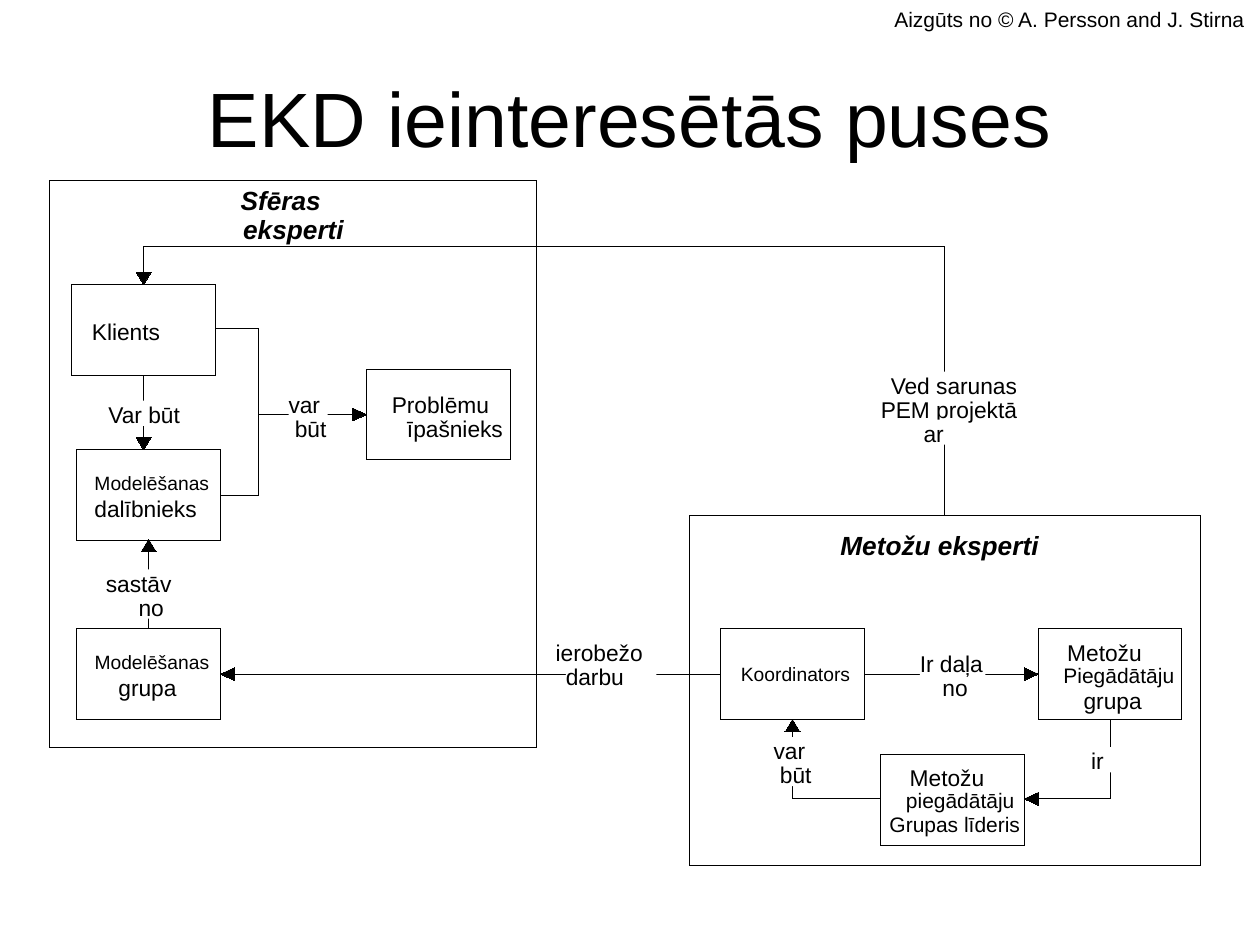
from lxml import etree
from pptx import Presentation
from pptx.dml.color import RGBColor
from pptx.enum.shapes import MSO_CONNECTOR, MSO_SHAPE
from pptx.enum.text import MSO_ANCHOR, MSO_AUTO_SIZE, PP_ALIGN
from pptx.oxml.ns import qn
from pptx.util import Inches, Pt

RECTANGLE = MSO_SHAPE.RECTANGLE
STRAIGHT = MSO_CONNECTOR.STRAIGHT
MIDDLE = MSO_ANCHOR.MIDDLE
FIT_SHAPE = MSO_AUTO_SIZE.SHAPE_TO_FIT_TEXT
LEFT, CENTER = PP_ALIGN.LEFT, PP_ALIGN.CENTER
BLACK, WHITE = "000000", "FFFFFF"
FONT = "Arial"
HAIRLINE = Pt(0.01)  # a width of zero would fall back to the theme's line
TOP_SIDE, LEFT_SIDE, BOTTOM_SIDE, RIGHT_SIDE = range(4)
BOX_W, BOX_H = 1.14, 0.72
SLACK = 0.03  # spare width that keeps each text on one line

prs = Presentation()
prs.slide_width, prs.slide_height = Inches(10), Inches(7.5)
slide = prs.slides.add_slide(prs.slide_layouts[5])
shapes = slide.shapes


def paint(fill, color):
    """Colour the fill of a shape, line or font; None leaves it empty."""
    if color is None:
        fill.background()
    else:
        fill.solid()
        fill.fore_color.rgb = RGBColor.from_string(color)


def write(text, left, top, width, size, heading=False, margins=(0, 0)):
    """Add one unwrapped line of text."""
    height = size / 60 + 2 * margins[1]
    box = shapes.add_textbox(
        Inches(left), Inches(top), Inches(width + SLACK), Inches(height))
    frame = box.text_frame
    frame.word_wrap = False
    frame.auto_size = FIT_SHAPE
    frame.margin_left = frame.margin_right = Inches(margins[0])
    frame.margin_top = frame.margin_bottom = Inches(margins[1])
    frame.paragraphs[0].alignment = LEFT
    run = frame.paragraphs[0].add_run()
    run.text = text
    run.font.name, run.font.size = FONT, Pt(size)
    run.font.bold = run.font.italic = heading
    paint(run.font.fill, BLACK)


# Title
title = shapes.title
title.left, title.top = Inches(0.5), Inches(0.3)
title.width, title.height = Inches(9), Inches(1.25)
title.text_frame.vertical_anchor = MIDDLE
title_line = title.text_frame.paragraphs[0]
title_line.alignment = CENTER
title_run = title_line.add_run()
title_run.text = "EKD ieinteresētās puses"
title_run.font.name, title_run.font.size = FONT, Pt(44)
paint(title_run.font.fill, BLACK)

# Expert groups and the roles inside them
rectangles = {
    "domain experts": (0.39, 1.43, 3.87, 4.5),
    "method experts": (5.47, 4.09, 4.06, 2.78),
    "client": (0.57, 2.26, BOX_W, BOX_H),
    "participant": (0.61, 3.57, BOX_W, BOX_H),
    "modelling group": (0.61, 4.99, BOX_W, BOX_H),
    "problem owner": (2.91, 2.93, BOX_W, BOX_H),
    "coordinator": (5.72, 4.99, BOX_W, BOX_H),
    "provider group": (8.24, 4.99, BOX_W, BOX_H),
    "group leader": (6.99, 5.99, BOX_W, BOX_H),
}
roles = {}
for role, place in rectangles.items():
    box = shapes.add_shape(RECTANGLE, *map(Inches, place))
    box.shadow.inherit = False
    paint(box.fill, WHITE)
    paint(box.line.fill, BLACK)
    box.line.width = HAIRLINE
    roles[role] = box

# Group headings
for text, left, top, width in [
    ("Sfēras", 1.91, 1.46, 0.64),
    ("eksperti", 1.93, 1.69, 0.8),
    ("Metožu eksperti", 6.67, 4.2, 1.58),
]:
    write(text, left, top, width, 15, heading=True)

# Role names
for text, left, top, width, size in [
    ("Klients", 0.73, 2.52, 0.54, 13),
    ("Modelēšanas", 0.75, 3.74, 0.91, 11),
    ("dalībnieks", 0.75, 3.93, 0.81, 13),
    ("Modelēšanas", 0.75, 5.16, 0.96, 11),
    ("grupa", 0.94, 5.35, 0.46, 13),
    ("Problēmu", 3.11, 3.1, 0.77, 13),
    ("īpašnieks", 3.23, 3.29, 0.76, 13),
    ("Koordinators", 5.88, 5.26, 0.87, 11),
    ("Metožu", 8.47, 5.07, 0.59, 13),
    ("Piegādātāju", 8.44, 5.26, 0.88, 12),
    ("grupa", 8.6, 5.45, 0.46, 13),
    ("Metožu", 7.22, 6.06, 0.59, 13),
    ("piegādātāju", 7.19, 6.25, 0.86, 12),
    ("Grupas līderis", 7.06, 6.44, 1.04, 12),
]:
    write(text, left, top, width, size)

# Straight links, from a role to the base of an arrowhead
for role, side, end_x, end_y in [
    ("modelling group", TOP_SIDE, 1.18, 4.38),
    ("coordinator", LEFT_SIDE, 1.87, 5.35),
    ("coordinator", RIGHT_SIDE, 8.13, 5.35),
    ("client", BOTTOM_SIDE, 1.14, 3.47),
]:
    end = Inches(end_x), Inches(end_y)
    link = shapes.add_connector(STRAIGHT, *end, *end)
    link.begin_connect(roles[role], side)
    paint(link.line.fill, BLACK)
    link.line.width = HAIRLINE
    etree.SubElement(link._element.spPr, qn("a:effectLst"))

# Bent links
outlines = [
    ([(1.71, 2.61), (2.05, 2.61), (2.05, 3.29), (2.8, 3.29)], None),
    ([(1.75, 3.93), (2.05, 3.93), (2.05, 3.29), (2.8, 3.29)], None),
    ([(7.5, 4.09), (7.5, 1.96), (1.14, 1.96), (1.14, 2.16)], None),
    ([(8.81, 5.71), (8.81, 6.34), (8.24, 6.34)], None),
    ([(6.99, 6.34), (6.29, 6.34), (6.29, 5.81)], None),
]

# Arrowheads: tip and direction of travel
for x, y, dx, dy in [
    (1.18, 4.28, 0, -1),
    (2.91, 3.29, 1, 0),
    (1.75, 5.35, -1, 0),
    (8.24, 5.35, 1, 0),
    (1.14, 2.26, 0, 1),
    (8.13, 6.34, -1, 0),
    (6.29, 5.71, 0, -1),
    (1.14, 3.57, 0, 1),
]:
    length, half = (0.11, 0.05) if dx else (0.1, 0.06)
    base_x, base_y = x - dx * length, y - dy * length
    outlines.append(([
        (x, y),
        (base_x + dy * half, base_y + dx * half),
        (base_x - dy * half, base_y - dx * half),
    ], BLACK))

for points, color in outlines:
    corners = [(Inches(x), Inches(y)) for x, y in points]
    builder = shapes.build_freeform(*corners[0])
    builder.add_line_segments(corners[1:], close=color is not None)
    outline = builder.convert_to_shape()
    outline.shadow.inherit = False
    paint(outline.fill, color)
    paint(outline.line.fill, BLACK)
    outline.line.width = HAIRLINE

# Link labels, each on a white patch that interrupts the line
for text, left, top, width, patch_width in [
    ("sastāv", 0.84, 4.52, 0.52, 0.69),
    ("no", 1.1, 4.71, 0.2, 0.16),
    ("var", 2.29, 3.1, 0.25, 0.31),
    ("būt", 2.34, 3.29, 0.25, 0.21),
    ("ierobežo", 4.41, 5.07, 0.69, 0.9),
    ("darbu", 4.49, 5.26, 0.46, 0.72),
    ("Ir daļa", 7.3, 5.16, 0.5, 0.52),
    ("no", 7.48, 5.35, 0.2, 0.16),
    ("Ved sarunas", 7.07, 2.95, 1.01, 0.87),
    ("PEM projektā", 6.99, 3.14, 1.08, 1.03),
    ("ar", 7.33, 3.33, 0.16, 0.34),
    ("ir", 8.66, 5.93, 0.1, 0.31),
    ("var", 6.14, 5.85, 0.25, 0.31),
    ("būt", 6.19, 6.04, 0.25, 0.21),
    ("Var būt", 0.86, 3.18, 0.58, 0.57),
]:
    patch = shapes.add_shape(
        RECTANGLE, Inches(left), Inches(top), Inches(patch_width), Inches(0.2))
    patch.shadow.inherit = False
    paint(patch.fill, WHITE)
    paint(patch.line.fill, None)
    write(text, left, top, width, 13)

# Credit
write("Aizgūts no © A. Persson and J. Stirna", 7, 0, 3, 12, margins=(0.1, 0.05))

prs.save("out.pptx")
